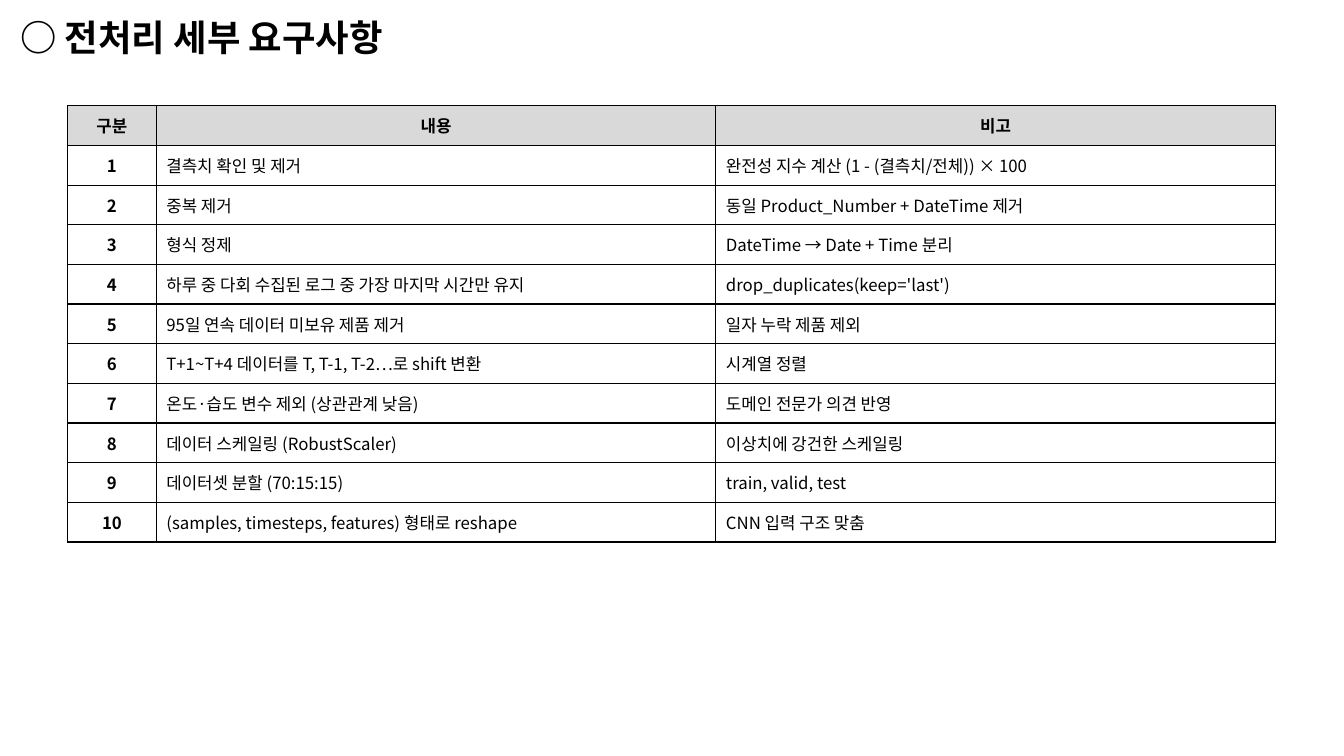
from dataclasses import dataclass

from lxml.etree import SubElement
from pptx import Presentation
from pptx.dml.color import RGBColor
from pptx.enum.text import MSO_ANCHOR, MSO_AUTO_SIZE, PP_ALIGN
from pptx.oxml.ns import qn
from pptx.util import Inches, Pt


@dataclass(frozen=True)
class Theme:
    font: str = "Noto Sans CJK KR"
    ink: str = "000000"
    header_fill: str = "D9D9D9"
    row_fill: str = "FFFFFF"
    title_size: int = 26
    table_size: int = 12
    border: int = 1


theme = Theme()


def style_text(paragraph, size, bold, align):
    """Format every run, setting the font for Latin and Korean text alike."""
    paragraph.alignment = align
    for run in paragraph.runs:
        run.font.size = Pt(size)
        run.font.bold = bold
        run.font.color.rgb = RGBColor.from_string(theme.ink)
        run.font.name = theme.font
        SubElement(run.font._element, qn("a:ea"), typeface=theme.font)


def draw_borders(cell):
    properties = cell._tc.get_or_add_tcPr()
    for side in ("lnL", "lnR", "lnT", "lnB"):
        line = SubElement(properties, qn(f"a:{side}"), w=str(Pt(theme.border)))
        fill = SubElement(line, qn("a:solidFill"))
        SubElement(fill, qn("a:srgbClr"), val=theme.ink)


HEADINGS = ("구분", "내용", "비고")
REQUIREMENTS = [
    ("결측치 확인 및 제거", "완전성 지수 계산 (1 - (결측치/전체)) × 100"),
    ("중복 제거", "동일 Product_Number + DateTime 제거"),
    ("형식 정제", "DateTime → Date + Time 분리"),
    ("하루 중 다회 수집된 로그 중 가장 마지막 시간만 유지", "drop_duplicates(keep='last')"),
    ("95일 연속 데이터 미보유 제품 제거", "일자 누락 제품 제외"),
    ("T+1~T+4 데이터를 T, T-1, T-2…로 shift 변환", "시계열 정렬"),
    ("온도·습도 변수 제외 (상관관계 낮음)", "도메인 전문가 의견 반영"),
    ("데이터 스케일링 (RobustScaler)", "이상치에 강건한 스케일링"),
    ("데이터셋 분할 (70:15:15)", "train, valid, test"),
    ("(samples, timesteps, features) 형태로 reshape", "CNN 입력 구조 맞춤"),
]
COLUMN_WIDTHS = (0.88, 5.55, 5.55)
TABLE_HEIGHT = 4.33

prs = Presentation()
prs.slide_width, prs.slide_height = Inches(13.33), Inches(7.5)
slide = prs.slides.add_slide(prs.slide_layouts[5])

# Title
heading = slide.shapes.title
heading.left, heading.top = Inches(0.1), Inches(0.1)
heading.width, heading.height = Inches(4.23), Inches(0.54)
heading.text_frame.text = "○ 전처리 세부 요구사항"
heading.text_frame.word_wrap = False
heading.text_frame.auto_size = MSO_AUTO_SIZE.NONE
heading.text_frame.vertical_anchor = MSO_ANCHOR.MIDDLE
style_text(heading.text_frame.paragraphs[0], theme.title_size, True, PP_ALIGN.LEFT)

# Requirements table
rows = [HEADINGS]
rows += [(str(number), *texts) for number, texts in enumerate(REQUIREMENTS, 1)]
requirements = slide.shapes.add_table(
    len(rows), len(HEADINGS), Inches(0.67), Inches(1.05),
    Inches(sum(COLUMN_WIDTHS)), Inches(TABLE_HEIGHT),
).table
for column, width in zip(requirements.columns, COLUMN_WIDTHS):
    column.width = Inches(width)

for row_index, texts in enumerate(rows):
    is_header = row_index == 0
    row_fill = theme.header_fill if is_header else theme.row_fill
    for column_index, text in enumerate(texts):
        is_label = is_header or column_index == 0
        cell = requirements.cell(row_index, column_index)
        cell.text_frame.text = text
        cell.vertical_anchor = MSO_ANCHOR.MIDDLE
        draw_borders(cell)
        cell.fill.solid()
        cell.fill.fore_color.rgb = RGBColor.from_string(row_fill)
        align = PP_ALIGN.CENTER if is_label else PP_ALIGN.LEFT
        style_text(cell.text_frame.paragraphs[0], theme.table_size, is_label, align)

prs.save("out.pptx")
